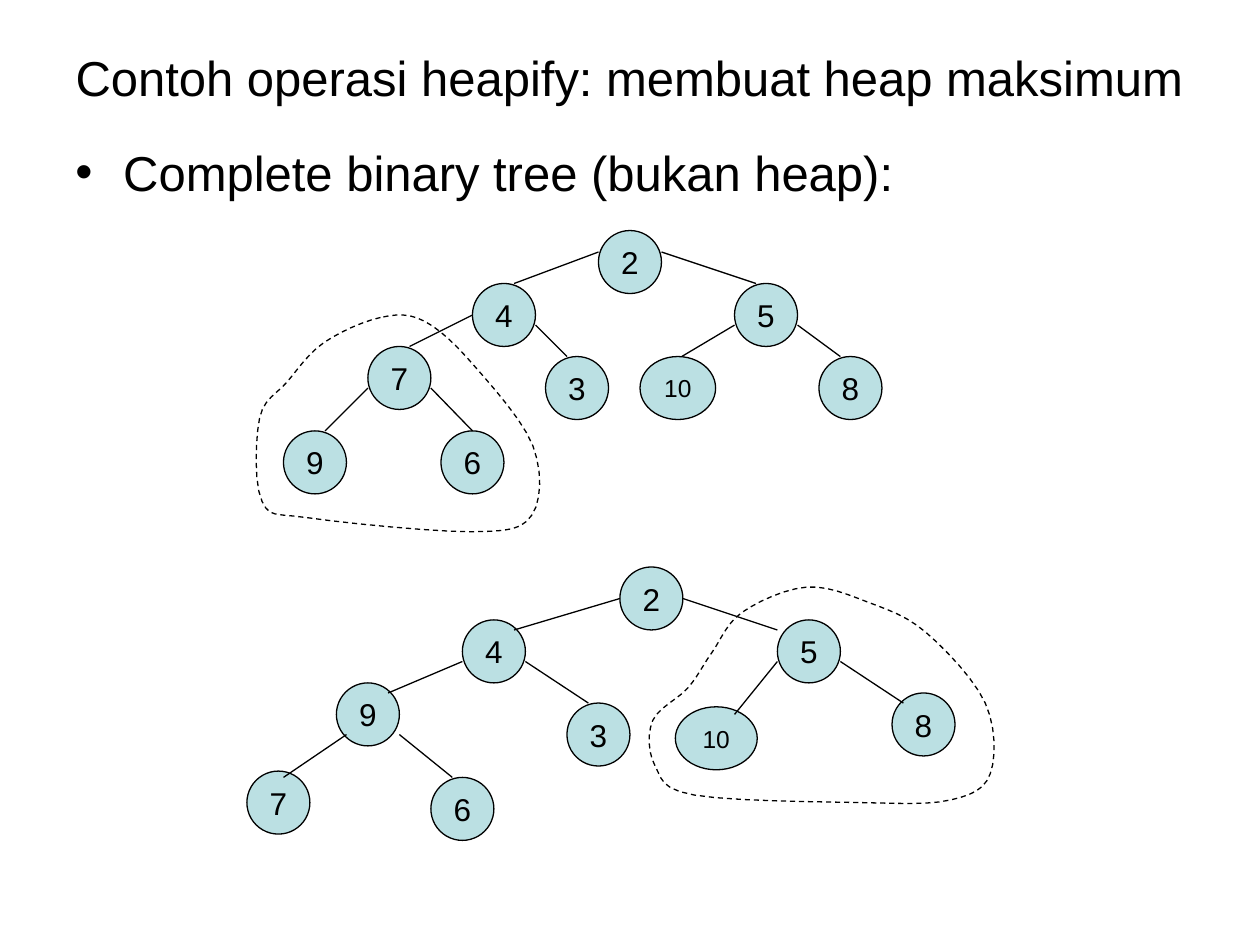
from dataclasses import dataclass
from typing import Any

from lxml.etree import SubElement
from pptx import Presentation
from pptx.dml.color import RGBColor
from pptx.enum.dml import MSO_LINE_DASH_STYLE as Dash
from pptx.enum.shapes import MSO_CONNECTOR as Connector
from pptx.enum.shapes import MSO_SHAPE as Preset
from pptx.enum.text import MSO_ANCHOR as Anchor
from pptx.enum.text import MSO_AUTO_SIZE as AutoSize
from pptx.enum.text import PP_ALIGN as Align
from pptx.oxml.ns import qn
from pptx.util import Inches, Pt

BLACK = RGBColor(0x00, 0x00, 0x00)
NODE_FILL = RGBColor(0xBB, 0xE0, 0xE3)
FONT_NAME = "Arial"
HEADING_SIZE = 28
NODE_SIZE = 0.5
LEFT_JOIN = (0.33, 0)
RIGHT_JOIN = (0.17, 0)
CURVE_STEPS = 6
TITLE_ONLY = 5

Point = tuple[float, float]


@dataclass(frozen=True)
class Node:
    label: str
    left: float
    top: float
    width: float = NODE_SIZE
    drop: float = 0.33
    inset: float = 0
    join: Point | None = None


@dataclass(frozen=True)
class Tree:
    level_order: list[Node]
    outline: list[Point]


TREES = [
    Tree(
        level_order=[
            Node("2", 4.75, 1.83),
            Node("4", 3.75, 2.25, drop=0.17),
            Node("5", 5.83, 2.25, drop=0.17),
            Node("7", 2.92, 2.75, drop=0.25),
            Node("3", 4.33, 2.83),
            Node("10", 5.08, 2.83, 0.6),
            Node("8", 6.5, 2.83),
            Node("9", 2.25, 3.42),
            Node("6", 3.5, 3.42, join=(0.25, 0)),
        ],
        outline=[
            (3.02, 2.52), (2.57, 2.72), (2.28, 3.03), (2.06, 3.32),
            (2.08, 3.98), (2.45, 4.11), (3.75, 4.22), (4.22, 4.09),
            (4.23, 3.54), (3.77, 2.91), (3.37, 2.55),
        ],
    ),
    Tree(
        level_order=[
            Node("2", 4.92, 4.5),
            Node("4", 3.67, 4.92, drop=0.25, join=(0.41, 0.08)),
            Node("5", 6.17, 4.92, drop=0.25, join=(0, 0.08)),
            Node("9", 2.67, 5.42, join=(0.41, 0.08)),
            Node("3", 4.5, 5.58),
            Node("10", 5.36, 5.61, 0.65, join=(0.47, 0.06)),
            Node("8", 7.08, 5.5, join=(0.09, 0.08)),
            Node("7", 1.96, 6.12, drop=0.41, inset=0.08, join=(0.29, 0.05)),
            Node("6", 3.42, 6.17, drop=0.41),
        ],
        outline=[
            (6.4, 4.66), (5.89, 4.86), (5.65, 5.18), (5.46, 5.46),
            (5.18, 5.72), (5.2, 6.08), (5.51, 6.31), (6.83, 6.37),
            (7.54, 6.35), (7.86, 6.14), (7.82, 5.58), (7.35, 5.02),
            (6.89, 4.78),
        ],
    ),
]


def apply_format(target: Any, values: dict[str, Any]) -> None:
    for name, value in values.items():
        setattr(target, name, value)


def format_font(paragraph: Any, size: int) -> None:
    apply_format(paragraph.font, {"name": FONT_NAME, "size": Pt(size), "bold": False})
    paragraph.font.color.rgb = BLACK


def format_line(line: Any) -> None:
    line.color.rgb = BLACK
    line.width = Pt(0.75)


def add_title(slide: Any, text: str) -> None:
    title = slide.shapes.title
    place = {"left": 0.5, "top": 0.3, "width": 9.5, "height": 0.62}
    apply_format(title, {name: Inches(value) for name, value in place.items()})
    frame = title.text_frame
    frame.text = text
    apply_format(frame, {"vertical_anchor": Anchor.MIDDLE, "auto_size": AutoSize.NONE})
    paragraph = frame.paragraphs[0]
    paragraph.alignment = Align.LEFT
    format_font(paragraph, HEADING_SIZE)


def add_bullet(slide: Any, text: str) -> None:
    box = slide.shapes.add_textbox(Inches(0.5), Inches(1.08), Inches(9), Inches(5.62))
    box.text_frame.word_wrap = True
    paragraph = box.text_frame.paragraphs[0]
    paragraph.text = text
    properties = paragraph._p.get_or_add_pPr()
    properties.set("marL", str(Inches(0.38)))
    properties.set("indent", str(Inches(-0.38)))
    SubElement(properties, qn("a:buFont"), typeface=FONT_NAME)
    SubElement(properties, qn("a:buChar"), char="•")
    format_font(paragraph, HEADING_SIZE)


def add_node(slide: Any, node: Node) -> None:
    box = [Inches(value) for value in (node.left, node.top, node.width, NODE_SIZE)]
    shape = slide.shapes.add_shape(Preset.OVAL, *box)
    shape.shadow.inherit = False
    shape.fill.solid()
    shape.fill.fore_color.rgb = NODE_FILL
    format_line(shape.line)
    frame = shape.text_frame
    frame.text = node.label
    apply_format(frame, {"vertical_anchor": Anchor.MIDDLE, "word_wrap": False})
    paragraph = frame.paragraphs[0]
    paragraph.alignment = Align.CENTER
    format_font(paragraph, 18 if len(node.label) == 1 else 14)


def add_edge(slide: Any, parent: Node, child: Node, is_left: bool) -> None:
    side = child.inset if is_left else parent.width - child.inset
    join_x, join_y = child.join or (LEFT_JOIN if is_left else RIGHT_JOIN)
    ends = (
        parent.left + side,
        parent.top + child.drop,
        child.left + join_x,
        child.top + join_y,
    )
    connector = slide.shapes.add_connector(Connector.STRAIGHT, *map(Inches, ends))
    format_line(connector.line)
    SubElement(connector._element.spPr, qn("a:effectLst"))


def blend(before: float, start: float, end: float, after: float, t: float) -> float:
    linear = end - before
    square = 2 * before - 5 * start + 4 * end - after
    cube = 3 * (start - end) + after - before
    return start + (linear * t + square * t**2 + cube * t**3) / 2


def smooth_loop(points: list[Point]) -> list[Point]:
    curve = []
    for index in range(len(points)):
        near = [points[(index + shift) % len(points)] for shift in (-1, 0, 1, 2)]
        xs, ys = zip(*near)
        for step in range(CURVE_STEPS):
            t = step / CURVE_STEPS
            curve.append((blend(*xs, t), blend(*ys, t)))
    return curve


def add_outline(slide: Any, points: list[Point]) -> None:
    start, *others = [(Inches(x), Inches(y)) for x, y in smooth_loop(points)]
    builder = slide.shapes.build_freeform(*start)
    builder.add_line_segments(others, close=True)
    shape = builder.convert_to_shape()
    shape.shadow.inherit = False
    shape.fill.background()
    format_line(shape.line)
    shape.line.dash_style = Dash.DASH


def add_tree(slide: Any, tree: Tree) -> None:
    for node in tree.level_order:
        add_node(slide, node)
    for index, child in enumerate(tree.level_order[1:], start=1):
        add_edge(slide, tree.level_order[(index - 1) // 2], child, index % 2 == 1)
    add_outline(slide, tree.outline)


def main() -> None:
    presentation = Presentation()
    apply_format(presentation, {"slide_width": Inches(10), "slide_height": Inches(7.5)})
    slide = presentation.slides.add_slide(presentation.slide_layouts[TITLE_ONLY])
    add_title(slide, "Contoh operasi heapify: membuat heap maksimum")
    add_bullet(slide, "Complete binary tree (bukan heap):")
    for tree in TREES:
        add_tree(slide, tree)
    presentation.save("out.pptx")


if __name__ == "__main__":
    main()
